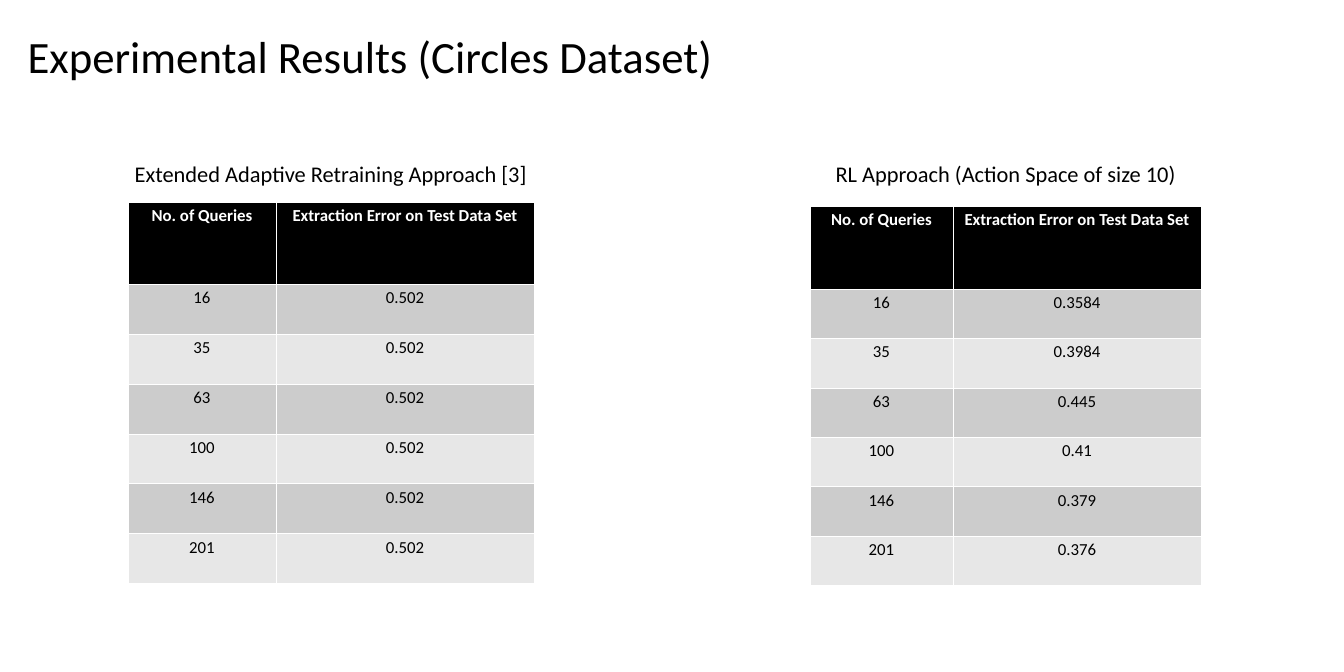
"""Builds the slide comparing extraction errors on the Circles dataset."""
import pptx
import pptx.dml.color
import pptx.enum.text
import pptx.util

PX = 914400 / 67.2
FONT = "Calibri"
BLACK = pptx.dml.color.RGBColor(0x00, 0x00, 0x00)
WHITE = pptx.dml.color.RGBColor(0xFF, 0xFF, 0xFF)
DARK_BAND = pptx.dml.color.RGBColor(0xCC, 0xCC, 0xCC)
LIGHT_BAND = pptx.dml.color.RGBColor(0xE7, 0xE7, 0xE7)

HEADER = ("No. of Queries", "Extraction Error on Test Data Set")
QUERIES = ("16", "35", "63", "100", "146", "201")
RETRAINING_ERRORS = ("0.502",) * len(QUERIES)
RL_ERRORS = ("0.3584", "0.3984", "0.445", "0.41", "0.379", "0.376")


def px(n):
    """Turn pixels into EMU."""
    return pptx.util.Emu(round(n * PX))


def format_runs(p, size, color, bold=False):
    """Set the font of every run in a paragraph."""
    for r in p.runs:
        r.font.name = FONT
        r.font.size = pptx.util.Pt(size)
        r.font.color.rgb = color
        r.font.bold = bold


def add_text(slide, box, text, size):
    """Add a wrapping text box and return its text frame."""
    tf = slide.shapes.add_textbox(*map(px, box)).text_frame
    tf.word_wrap = True
    tf.text = text
    format_runs(tf.paragraphs[0], size, BLACK)
    return tf


def add_title(slide, box, text):
    """Add the slide title, centred vertically."""
    tf = add_text(slide, box, text, 48)
    tf.vertical_anchor = pptx.enum.text.MSO_ANCHOR.MIDDLE
    tf.paragraphs[0].line_spacing = 0.9


def fill_cell(cell, text, fill, color, bold):
    """Write one centred table cell."""
    cell.fill.solid()
    cell.fill.fore_color.rgb = fill
    p = cell.text_frame.paragraphs[0]
    p.text = text
    p.alignment = pptx.enum.text.PP_ALIGN.CENTER
    format_runs(p, 18, color, bold)


def add_results(slide, left, top, widths, height, header_height, errors):
    """Add a table of errors by number of queries."""
    rows = [HEADER, *zip(QUERIES, errors)]
    table = slide.shapes.add_table(
        len(rows), len(HEADER), px(left), px(top), px(sum(widths)), px(height)
    ).table
    for column, width in zip(table.columns, widths):
        column.width = px(width)
    row_height = (height - header_height) / len(QUERIES)
    for i, values in enumerate(rows):
        is_header = i == 0
        table.rows[i].height = px(header_height if is_header else row_height)
        band = DARK_BAND if i % 2 else LIGHT_BAND
        fill, color = (BLACK, WHITE) if is_header else (band, BLACK)
        for j, value in enumerate(values):
            fill_cell(table.cell(i, j), value, fill, color, is_header)


def main():
    """Build and save the slide."""
    prs = pptx.Presentation()
    prs.slide_width, prs.slide_height = px(1344), px(672)
    slide = prs.slides.add_slide(prs.slide_layouts[6])
    add_title(slide, (21, 2, 1282, 114), "Experimental Results (Circles Dataset)")
    add_results(slide, 128, 202, (148, 258), 382, 82, RETRAINING_ERRORS)
    add_results(slide, 810, 206, (143, 248), 380, 83, RL_ERRORS)
    add_text(slide, (128, 157, 450, 34), "Extended Adaptive Retraining Approach [3]", 24)
    add_text(slide, (829, 157, 386, 34), "RL Approach (Action Space of size 10)", 24)
    prs.save("out.pptx")


if __name__ == "__main__":
    main()
